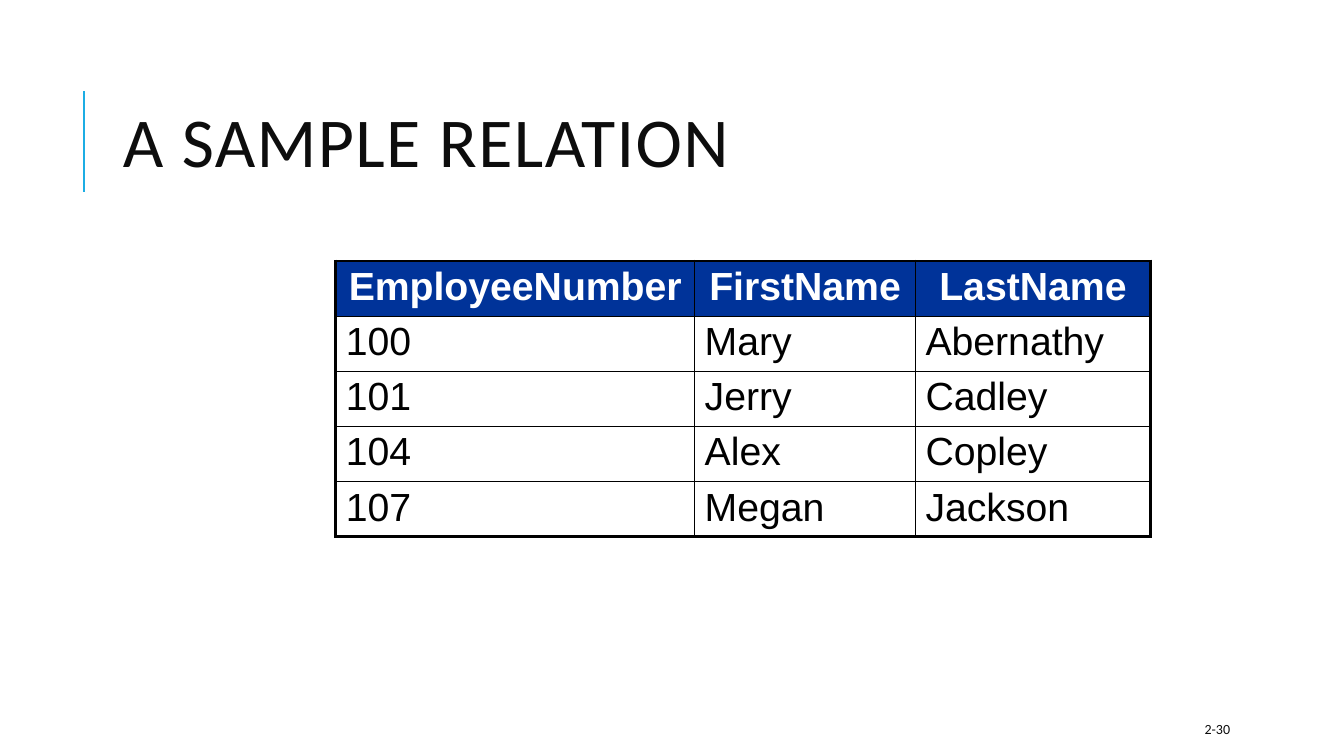
from lxml.etree import SubElement
from pptx import Presentation
from pptx.dml.color import RGBColor
from pptx.enum.shapes import MSO_CONNECTOR
from pptx.enum.text import MSO_ANCHOR, PP_ALIGN
from pptx.oxml.ns import qn
from pptx.util import Emu, Pt

BLACK = RGBColor(0x00, 0x00, 0x00)
WHITE = RGBColor(0xFF, 0xFF, 0xFF)
INK = RGBColor(0x0D, 0x0D, 0x0D)
ACCENT = RGBColor(0x1C, 0xAD, 0xE4)
HEADER_BLUE = RGBColor(0x00, 0x33, 0x99)

EMPLOYEES = [
    ("EmployeeNumber", "FirstName", "LastName"),
    ("100", "Mary", "Abernathy"),
    ("101", "Jerry", "Cadley"),
    ("104", "Alex", "Copley"),
    ("107", "Megan", "Jackson"),
]


def px(length):
    return Emu(length * 9144)


class RelationSlide:
    heading_font = "Calibri"
    table_font = "Arial"
    table_size = 28
    outer_border = 2.25
    inner_border = 1

    def __init__(self, slide):
        self.slide = slide

    def add_run(self, paragraph, words, font, size, color, bold=False):
        run = paragraph.add_run()
        run.text = words
        run.font.name = font
        run.font.size = Pt(size)
        run.font.color.rgb = color
        run.font.bold = bold
        return run

    def text(self, left, top, width, height, words, size, line_spacing=1.0, tracking=0):
        box = self.slide.shapes.add_textbox(px(left), px(top), px(width), px(height))
        frame = box.text_frame
        frame.word_wrap = True
        frame.vertical_anchor = MSO_ANCHOR.MIDDLE
        paragraph = frame.paragraphs[0]
        paragraph.line_spacing = line_spacing
        run = self.add_run(paragraph, words, self.heading_font, size, INK)
        if tracking:
            run.font._element.set("spc", str(tracking * 100))

    def line(self, x1, y1, x2, y2, color, weight):
        rule = self.slide.shapes.add_connector(
            MSO_CONNECTOR.STRAIGHT, px(x1), px(y1), px(x2), px(y2))
        rule.line.color.rgb = color
        rule.line.width = Pt(weight)
        SubElement(rule._element.spPr, qn("a:effectLst"))

    def borders(self, cell, outer_sides):
        properties = cell._tc.get_or_add_tcPr()
        for side in "LRTB":
            weight = self.outer_border if side in outer_sides else self.inner_border
            border = SubElement(properties, qn(f"a:ln{side}"), w=str(Pt(weight)))
            fill = SubElement(border, qn("a:solidFill"))
            SubElement(fill, qn("a:srgbClr"), val=str(BLACK))

    def table(self, left, top, height, column_widths, rows):
        table = self.slide.shapes.add_table(
            len(rows), len(column_widths), px(left), px(top),
            px(sum(column_widths)), px(height)).table
        table.horz_banding = False
        for column, width in zip(table.columns, column_widths):
            column.width = px(width)
        last_row, last_column = len(rows) - 1, len(column_widths) - 1
        for r, values in enumerate(rows):
            for c, value in enumerate(values):
                cell = table.cell(r, c)
                cell.margin_top = cell.margin_bottom = px(4)
                edges = {"L": c == 0, "R": c == last_column,
                         "T": r == 0, "B": r == last_row}
                self.borders(cell, [side for side, outer in edges.items() if outer])
                is_header = r == 0
                paragraph = cell.text_frame.paragraphs[0]
                if is_header:
                    cell.fill.solid()
                    cell.fill.fore_color.rgb = HEADER_BLUE
                    paragraph.alignment = PP_ALIGN.CENTER
                else:
                    cell.fill.background()
                self.add_run(paragraph, value, self.table_font, self.table_size,
                             WHITE if is_header else BLACK, is_header)


def main():
    presentation = Presentation()
    presentation.slide_width = px(1333)
    presentation.slide_height = px(750)
    page = RelationSlide(presentation.slides.add_slide(presentation.slide_layouts[6]))
    page.line(83, 190, 83, 90, ACCENT, 1.5)
    page.text(112, 64, 1063, 164, "A SAMPLE RELATION", 50, line_spacing=0.8, tracking=1)
    page.table(333, 259, 267, [356, 219, 233], EMPLOYEES)
    page.text(1185, 708, 106, 30, "2-30", 10)
    presentation.save("out.pptx")


if __name__ == "__main__":
    main()
